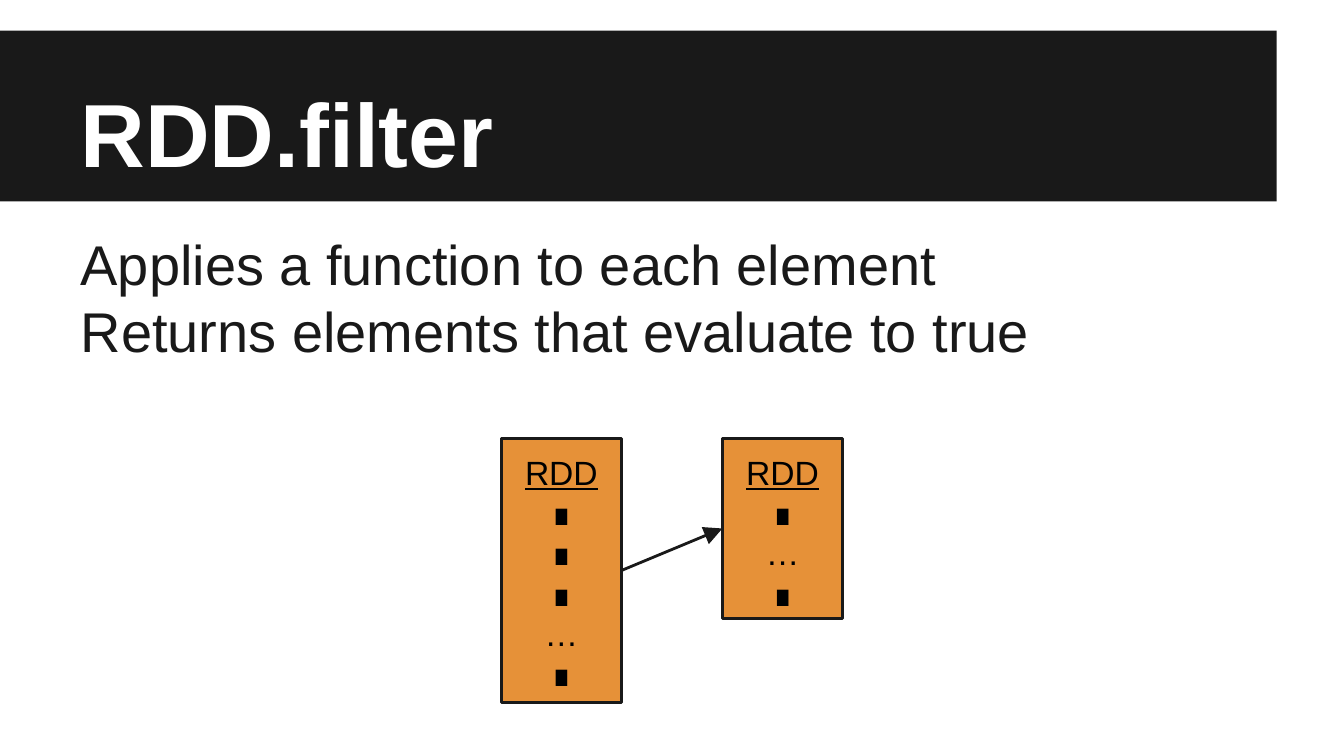
from dataclasses import dataclass

from lxml import etree
from pptx import Presentation
from pptx import util as u
from pptx.dml.color import RGBColor
from pptx.enum import shapes, text
from pptx.oxml.ns import qn

PX = 9525


@dataclass(frozen=True)
class Theme:
    font: str = "Arial"
    dark: str = "191919"
    light: str = "FFFFFF"
    ink: str = "000000"
    orange: str = "E69138"
    title: int = 48
    body: int = 30
    label: int = 18
    line: float = 1.5
    inset: float = 7.2


THEME = Theme()


def px(*values):
    return [v * PX for v in values]


def set_all(target, values):
    for name, value in values.items():
        setattr(target, name, value)


def place(sp, box):
    set_all(sp, dict(zip(("left", "top", "width", "height"), px(*box))))


def paint(sp, fill, line=None):
    sp.shadow.inherit = False
    sp.fill.solid()
    sp.fill.fore_color.rgb = RGBColor.from_string(fill)
    if line:
        stroke(sp.line, line)
    else:
        sp.line.fill.background()


def stroke(line, color):
    line.color.rgb = RGBColor.from_string(color)
    line.width = u.Pt(THEME.line)


def write(sp, lines, size, color, anchor, align, bold=False, underline_first=False):
    tf = sp.text_frame
    sides = ("left", "top", "right", "bottom")
    set_all(tf, {f"margin_{side}": u.Pt(THEME.inset) for side in sides})
    set_all(tf, {"word_wrap": True, "auto_size": text.MSO_AUTO_SIZE.NONE,
                 "vertical_anchor": anchor})
    for i, line in enumerate(lines):
        p = tf.add_paragraph() if i else tf.paragraphs[0]
        set_all(p, {"alignment": align, "space_before": u.Pt(0),
                    "space_after": u.Pt(0), "line_spacing": 1.0})
        r = p.add_run()
        r.text = line
        set_all(r.font, {"name": THEME.font, "size": u.Pt(size), "bold": bold,
                         "underline": underline_first and i == 0})
        r.font.color.rgb = RGBColor.from_string(color)


def title_band(s, box, title):
    x, y, w, h = box
    bar = s.shapes.add_shape(shapes.MSO_SHAPE.RECTANGLE, *px(*box))
    paint(bar, THEME.dark)
    s.shapes.element.insert(2, bar.element)
    sp = s.shapes.title
    place(sp, (x + 48, y, w - 48, h - 2))
    write(sp, [title], THEME.title, THEME.light, text.MSO_ANCHOR.BOTTOM,
          text.PP_ALIGN.LEFT, bold=True)


def body_list(s, box, lines):
    sp = s.placeholders[1]
    place(sp, box)
    write(sp, lines, THEME.body, THEME.dark, text.MSO_ANCHOR.TOP, text.PP_ALIGN.LEFT)
    for p in sp.text_frame.paragraphs:
        pPr = p._p.get_or_add_pPr()
        pPr.set("marL", "0")
        pPr.set("indent", "0")
        etree.SubElement(pPr, qn("a:buNone"))


def rdd_box(group, box, items):
    sp = group.shapes.add_shape(shapes.MSO_SHAPE.RECTANGLE, *px(*box))
    paint(sp, THEME.orange, THEME.dark)
    write(sp, ["RDD", *items], THEME.label, THEME.ink, text.MSO_ANCHOR.TOP,
          text.PP_ALIGN.CENTER, underline_first=True)
    return sp


def arrow(group, source, target):
    c = group.shapes.add_connector(
        shapes.MSO_CONNECTOR.STRAIGHT,
        source.left + source.width, source.top + source.height // 2,
        target.left, target.top + target.height // 2)
    c.begin_connect(source, 3)
    c.end_connect(target, 1)
    stroke(c.line, THEME.dark)
    etree.SubElement(c.line._get_or_add_ln(), qn("a:tailEnd"),
                     type="triangle", w="lg", len="lg")
    etree.SubElement(c.element.spPr, qn("a:effectLst"))


def filter_diagram(s, box):
    x, y, w, h = box
    box_w = 86
    group = s.shapes.add_group_shape()
    source = rdd_box(group, (x, y, box_w, h), "∎∎∎…∎")
    target = rdd_box(group, (x + w - box_w, y, box_w, h - 60), "∎…∎")
    arrow(group, source, target)


def main():
    prs = Presentation()
    set_all(prs, dict(zip(("slide_width", "slide_height"), px(960, 540))))
    s = prs.slides.add_slide(prs.slide_layouts[1])
    title_band(s, (0, 22, 912, 122), "RDD.filter")
    body_list(s, (48, 154, 864, 364), [
        "Applies a function to each element",
        "Returns elements that evaluate to true",
    ])
    filter_diagram(s, (358, 313, 244, 189))
    prs.save("out.pptx")


if __name__ == "__main__":
    main()
